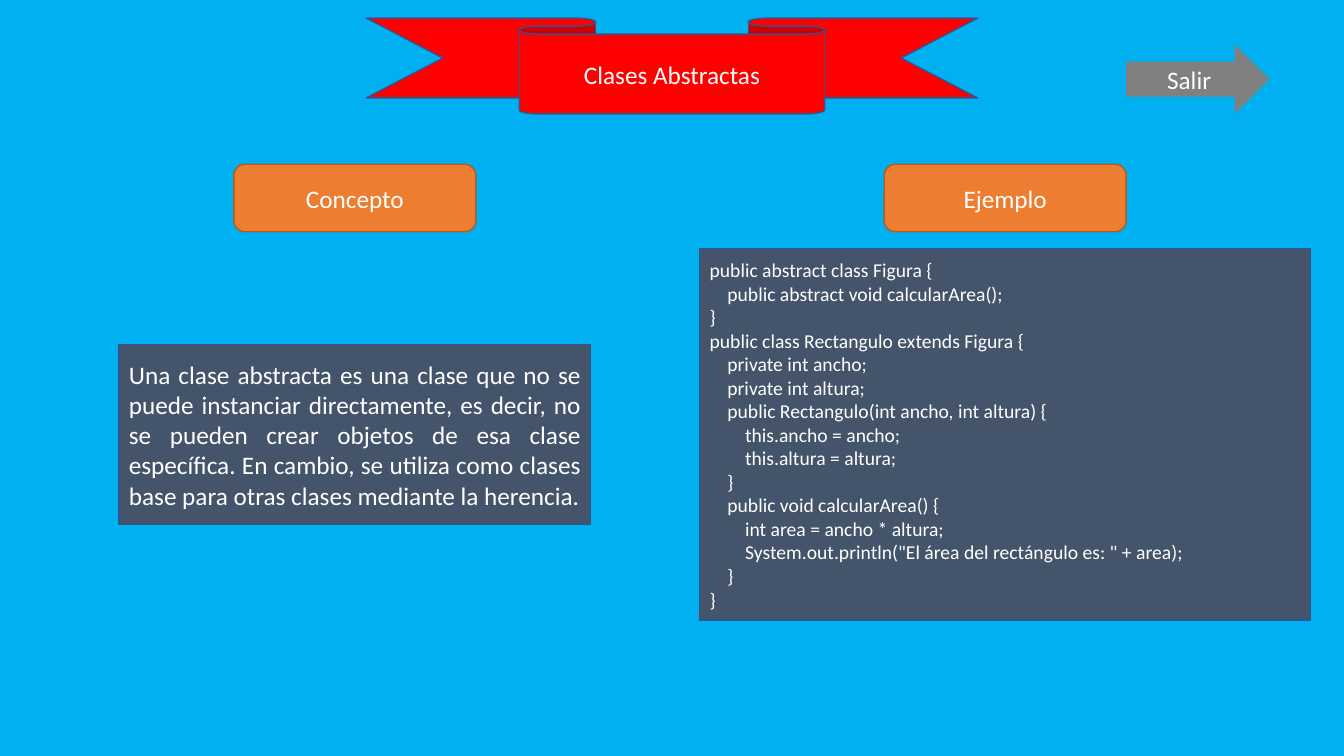
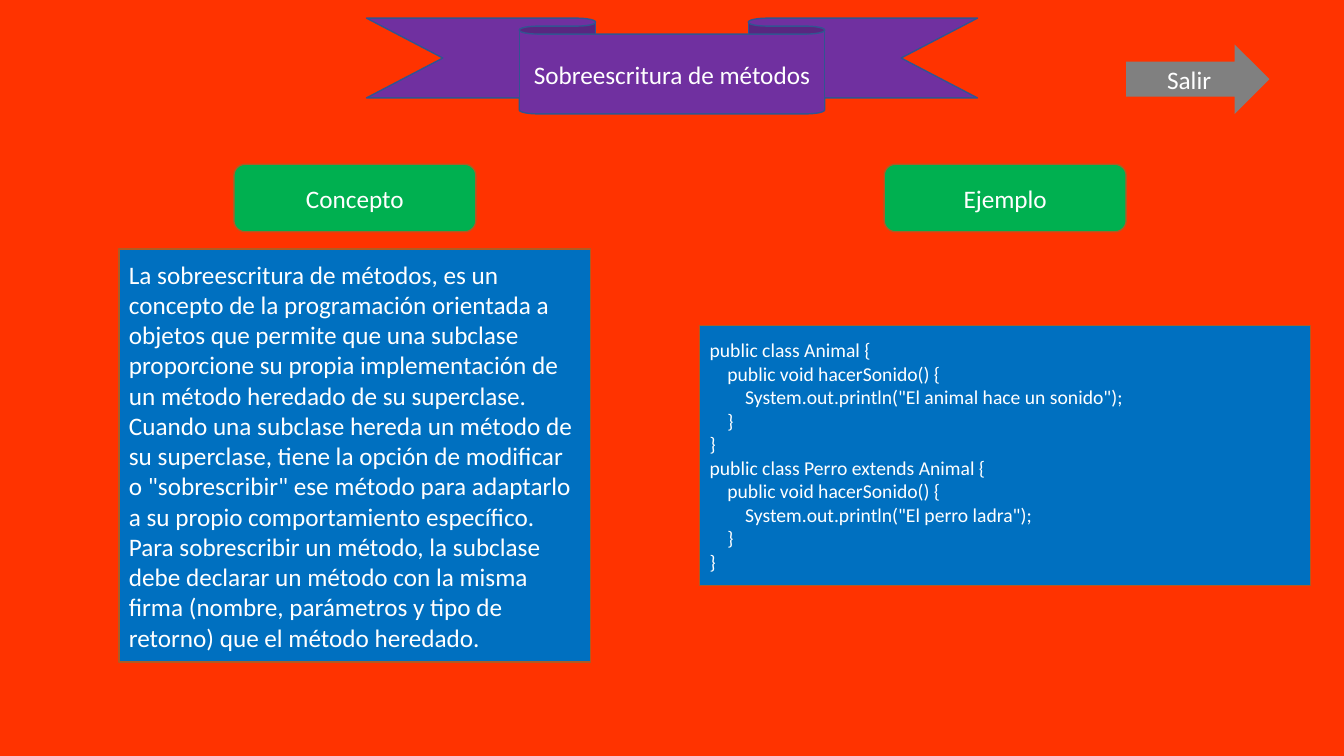
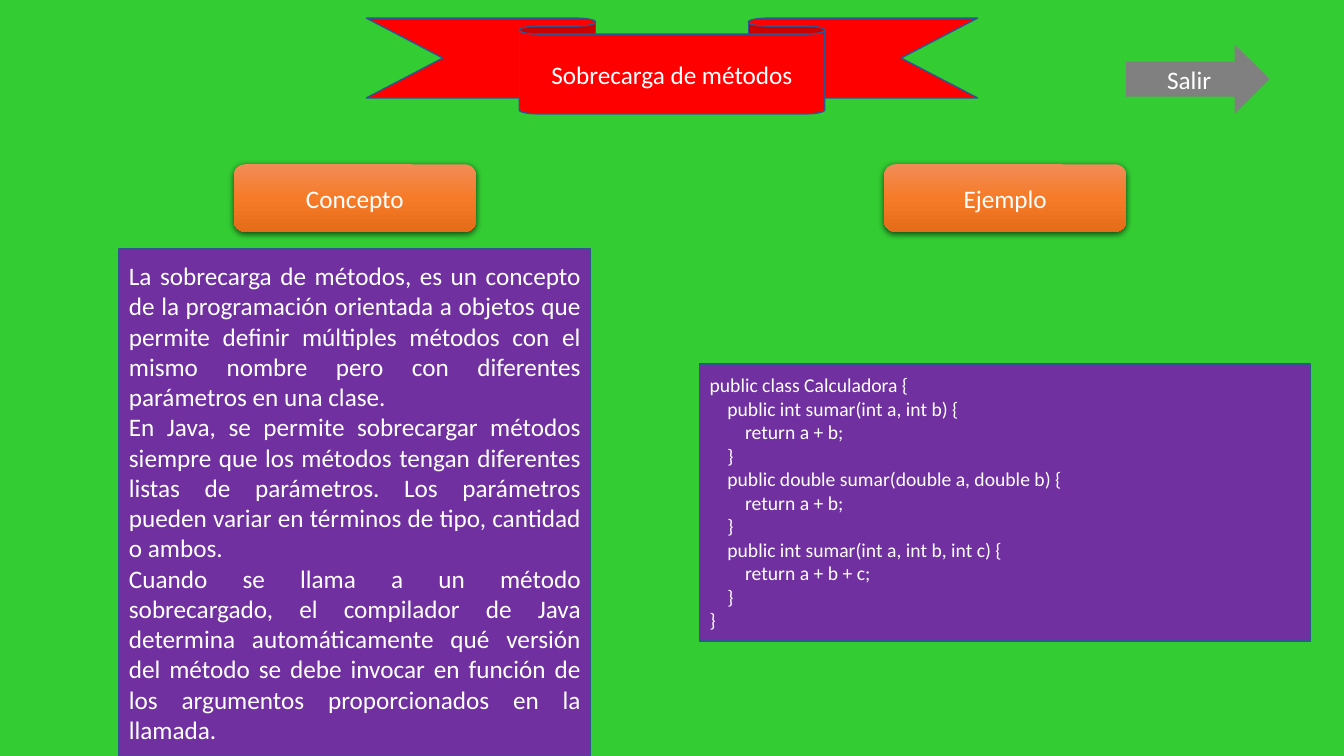
from lxml.etree import SubElement
from pptx import Presentation
from pptx.dml.color import RGBColor
from pptx.enum.shapes import MSO_SHAPE as Kind
from pptx.enum.text import MSO_ANCHOR as Anchor, MSO_AUTO_SIZE as Fit, PP_ALIGN as Align
from pptx.oxml.ns import qn
from pptx.util import Inches, Pt

WIDE, HIGH = 13.33, 7.5
FONT, WHITE, GREY = "Calibri", "FFFFFF", "808080"
NAVY, RUST = "325491", "AF5C24"
RED, PURPLE = "FF0000", "7030A0"
GLOW = [(0, "F18C57"), (50, "F67B28"), (100, "E56C19")]
LEFT, RIGHT = (1.18, 4.68), (6.94, 6.06)  # column: left, width
BAND = (6.06, 0.95)
PILL = (2.4, 0.67)
PILL_TOP, BOX_TOP = 1.63, 2.47
STEP = 12.66  # points for each code level
TAB = 4

TOPICS = [
    dict(
        title="Clases Abstractas", back="00B0F0", band=RED,
        pill="ED7D31", rim=RUST, box="44546A", edge=NAVY,
        align=Align.JUSTIFY, highs=(1.79, 3.68),
        idea=[
            "Una clase abstracta es una clase que no se puede instanciar "
            "directamente, es decir, no se pueden crear objetos de esa clase "
            "específica. En cambio, se utiliza como clases base para otras "
            "clases mediante la herencia.",
        ],
        code="""\
public abstract class Figura {
    public abstract void calcularArea();
}
public class Rectangulo extends Figura {
    private int ancho;
    private int altura;
    public Rectangulo(int ancho, int altura) {
        this.ancho = ancho;
        this.altura = altura;
    }
    public void calcularArea() {
        int area = ancho * altura;
        System.out.println("El área del rectángulo es: " + area);
    }
}"""),
    dict(
        title="Sobreescritura de métodos", back="FF3300", band=PURPLE,
        pill="00B050", rim=RUST, box="0070C0", edge=RUST,
        align=Align.LEFT, highs=(4.1, 2.58),
        idea=[
            "La sobreescritura de métodos, es un concepto de la programación "
            "orientada a objetos que permite que una subclase proporcione su "
            "propia implementación de un método heredado de su superclase.",
            "Cuando una subclase hereda un método de su superclase, tiene la "
            "opción de modificar o \"sobrescribir\" ese método para adaptarlo "
            "a su propio comportamiento específico. Para sobrescribir un "
            "método, la subclase debe declarar un método con la misma firma "
            "(nombre, parámetros y tipo de retorno) que el método heredado.",
        ],
        code="""\
public class Animal {
    public void hacerSonido() {
        System.out.println("El animal hace un sonido");
    }
}
public class Perro extends Animal {
    public void hacerSonido() {
        System.out.println("El perro ladra");
    }
}"""),
    dict(
        title="Sobrecarga de métodos", back="33CC33", band=RED,
        pill=GLOW, rim=None, box=PURPLE, edge=NAVY,
        align=Align.JUSTIFY, highs=(5.03, 2.75),
        idea=[
            "La sobrecarga de métodos, es un concepto de la programación "
            "orientada a objetos que permite definir múltiples métodos con el "
            "mismo nombre pero con diferentes parámetros en una clase.",
            "En Java, se permite sobrecargar métodos siempre que los métodos "
            "tengan diferentes listas de parámetros. Los parámetros pueden "
            "variar en términos de tipo, cantidad o ambos.",
            "Cuando se llama a un método sobrecargado, el compilador de Java "
            "determina automáticamente qué versión del método se debe invocar "
            "en función de los argumentos proporcionados en la llamada.",
        ],
        code="""\
public class Calculadora {
    public int sumar(int a, int b) {
        return a + b;
    }
    public double sumar(double a, double b) {
        return a + b;
    }
    public int sumar(int a, int b, int c) {
        return a + b + c;
    }
}"""),
]


def paint(fill, tone):
    """Fill with one hex colour."""
    fill.solid()
    fill.fore_color.rgb = RGBColor.from_string(tone)


def blend(fill, stops):
    """Fill with a gradient that runs from top to bottom."""
    fill.gradient()
    fill.gradient_angle = 270
    first = fill.gradient_stops[0]._gs
    group = first.getparent()
    for old in list(group):
        group.remove(old)
    for place, tone in stops:
        stop = SubElement(group, qn("a:gs"), pos=str(place * 1000))
        SubElement(stop, qn("a:srgbClr"), val=tone)


def shade(shape):
    """Cast a soft shadow below a shape."""
    effect = shape._element.spPr.find(qn("a:effectLst"))
    cast = SubElement(effect, qn("a:outerShdw"), blurRad=str(Pt(4.5)),
                      dist=str(Pt(1.5)), dir="5400000", rotWithShape="0")
    tone = SubElement(cast, qn("a:srgbClr"), val="000000")
    SubElement(tone, qn("a:alpha"), val="63000")


def draw(slide, kind, box, tone, rim=None):
    """Add a preset shape with its fill, outline and shadow."""
    shape = slide.shapes.add_shape(kind, *map(Inches, box))
    shape.shadow.inherit = False
    if isinstance(tone, str):
        paint(shape.fill, tone)
    else:
        blend(shape.fill, tone)
        shade(shape)
    if rim:
        paint(shape.line.fill, rim)
        shape.line.width = Pt(1)
    else:
        shape.line.fill.background()
    return shape


def write(shape, lines, align=Align.CENTER, size=18):
    """Write one paragraph a line, turning leading tabs into indents."""
    frame = shape.text_frame
    frame.word_wrap = True
    frame.auto_size = Fit.NONE
    frame.vertical_anchor = Anchor.MIDDLE
    for row, line in enumerate(lines):
        para = frame.paragraphs[0] if row == 0 else frame.add_paragraph()
        para.alignment = align
        text = line.lstrip()
        depth = (len(line) - len(text)) // TAB
        if depth:
            para._p.get_or_add_pPr().set("marL", str(Pt(STEP * depth)))
        run = para.add_run()
        run.text = text
        run.font.name, run.font.size = FONT, Pt(size)
        run.font.color.rgb = RGBColor.from_string(WHITE)


def banner(slide, text, tone):
    """Centre a ribbon at the top and set the title on its front band."""
    wide, high = BAND
    left, top = (WIDE - wide) / 2, 0.18
    draw(slide, Kind.DOWN_RIBBON, (left, top, wide, high), tone, NAVY)
    title = slide.shapes.title
    fold = high / 6
    title.left, title.top = Inches(left + wide / 4), Inches(top + fold)
    title.width, title.height = Inches(wide / 2), Inches(high - fold)
    write(title, [text])
    slide.shapes._spTree.append(title._element)


def column(slide, span, name, topic, mid, high, lines, **style):
    """Fill a column with a centred pill and a text box around mid."""
    left, wide = span
    pill_box = (left + (wide - PILL[0]) / 2, PILL_TOP, *PILL)
    pill = draw(slide, Kind.ROUNDED_RECTANGLE, pill_box,
                topic["pill"], topic["rim"])
    write(pill, [name])
    panel = draw(slide, Kind.RECTANGLE, (left, mid - high / 2, wide, high),
                 topic["box"], topic["edge"])
    write(panel, lines, **style)


def build(deck, topic):
    """Add the slide of one topic."""
    slide = deck.slides.add_slide(deck.slide_layouts[5])
    paint(slide.background.fill, topic["back"])
    banner(slide, topic["title"], topic["band"])
    highs = topic["highs"]
    mid = BOX_TOP + max(highs) / 2
    column(slide, LEFT, "Concepto", topic, mid, highs[0],
           topic["idea"], align=topic["align"])
    column(slide, RIGHT, "Ejemplo", topic, mid, highs[1],
           topic["code"].split("\n"), align=Align.LEFT, size=14)
    leave = draw(slide, Kind.RIGHT_ARROW, (11.17, 0.44, 1.42, 0.69), GREY)
    write(leave, ["Salir"])


deck = Presentation()
deck.slide_width, deck.slide_height = Inches(WIDE), Inches(HIGH)
for topic in TOPICS:
    build(deck, topic)
deck.save("out.pptx")
